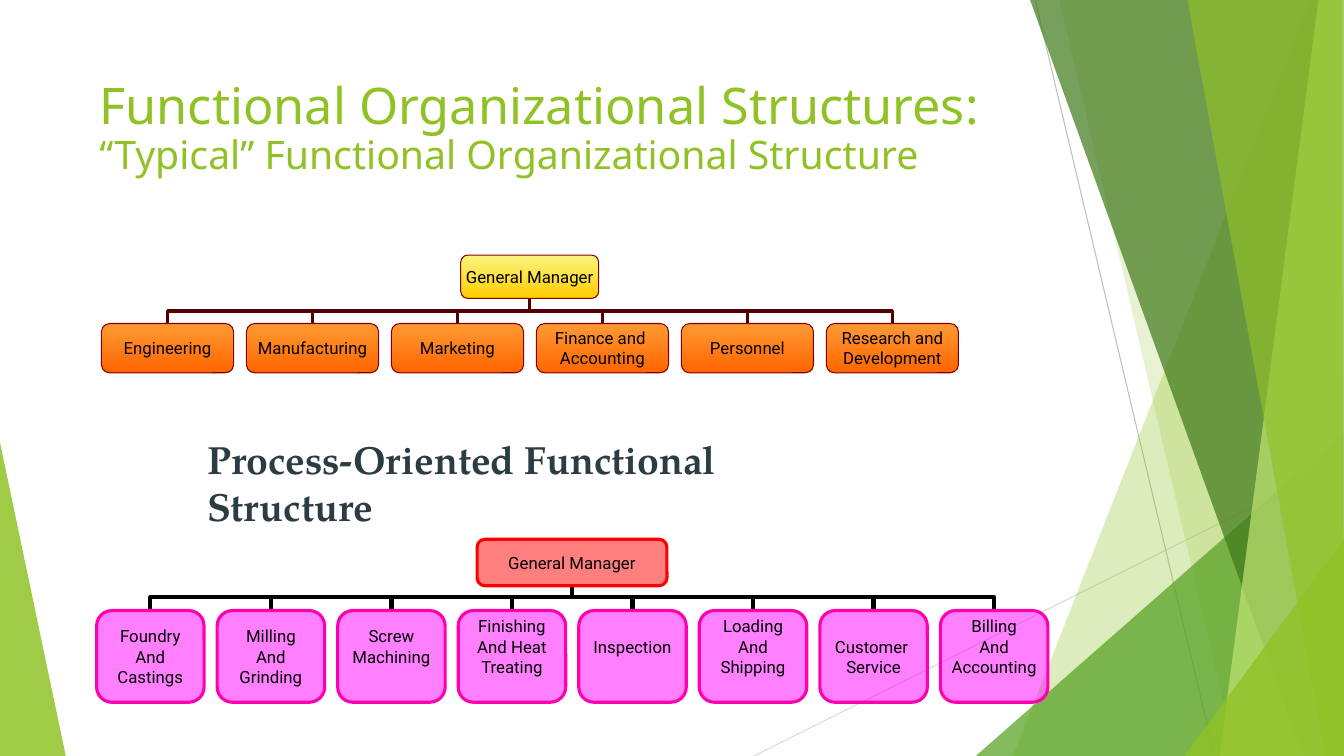
"""Build a slide with two functional organization charts."""
from dataclasses import dataclass

from lxml import etree
from pptx import Presentation
from pptx.dml.color import RGBColor
from pptx.enum.shapes import MSO_CONNECTOR, MSO_SHAPE
from pptx.enum.text import MSO_ANCHOR, PP_ALIGN
from pptx.oxml.ns import qn
from pptx.util import Pt

ELBOW, STRAIGHT = MSO_CONNECTOR.ELBOW, MSO_CONNECTOR.STRAIGHT
ROUNDED = MSO_SHAPE.ROUNDED_RECTANGLE
TOP, MIDDLE = MSO_ANCHOR.TOP, MSO_ANCHOR.MIDDLE
LEFT, CENTER = PP_ALIGN.LEFT, PP_ALIGN.CENTER
GREEN, BLACK, SLATE = "90C226", "000000", "2C3C43"
LINE_HEIGHT = 14.4


@dataclass(frozen=True)
class Facet:
    color: str
    opacity: int
    points: tuple[tuple[float, float], ...]


@dataclass(frozen=True)
class BoxStyle:
    colors: tuple[str, ...]
    outline: str
    outline_width: float
    inset: float
    opacity: int = 100


@dataclass(frozen=True)
class Unit:
    name: str
    blank_lines: int = 0


@dataclass(frozen=True)
class OrgChart:
    manager_box: tuple[float, float, float, float]
    manager_style: BoxStyle
    first_unit_box: tuple[float, float, float, float]
    pitch: float
    unit_style: BoxStyle
    units: tuple[Unit, ...]
    branch_color: str
    branch_width: float
    branch_bottom: float


FACETS = (
    Facet(GREEN, 85, ((0, 316), (47, 540), (0, 540))),
    Facet(GREEN, 30, ((936, 0), (723.6, 540), (960, 540), (960, 0))),
    Facet(GREEN, 20, ((756.7, 0), (882.7, 540), (960, 540), (960, 0))),
    Facet("54A021", 72, ((697, 540), (960, 309), (960, 540))),
    Facet("3F7819", 70, ((735.8, 0), (931, 540), (960, 540), (960, 0))),
    Facet("C0E474", 70, ((941.8, 0), (871.2, 540), (960, 540), (960, 0))),
    Facet(GREEN, 65, ((848.2, 0), (946.8, 540), (960, 540), (958.3, 0))),
    Facet(GREEN, 80, ((846, 540), (960, 385.2), (960, 540))),
)

TYPICAL = OrgChart(
    manager_box=(329.1, 182.2, 98.6, 31),
    manager_style=BoxStyle(("F9F67F", "FFCC00"), "800000", 0.75, 2),
    first_unit_box=(72.5, 231.1, 94.4, 35.2),
    pitch=103.55,
    unit_style=BoxStyle(("FF9933", "FF6600"), "800000", 0.75, 2),
    units=(
        Unit("Engineering"),
        Unit("Manufacturing"),
        Unit("Marketing"),
        Unit("Finance and \nAccounting"),
        Unit("Personnel"),
        Unit("Research and\nDevelopment"),
    ),
    branch_color="540000",
    branch_width=2.25,
    branch_bottom=231.1,
)

PROCESS = OrgChart(
    manager_box=(340.8, 385.2, 135.6, 33.2),
    manager_style=BoxStyle(("FF0000",), "FF0000", 2.25, 1, 50),
    first_unit_box=(69, 436.1, 76.8, 65.5),
    pitch=86.1,
    unit_style=BoxStyle(("FF00FF",), "FF00AD", 2.25, 1, 50),
    units=(
        Unit("Foundry\nAnd\nCastings"),
        Unit("Milling\nAnd\nGrinding"),
        Unit("Screw\nMachining", 1),
        Unit("Finishing\nAnd Heat\nTreating", 1),
        Unit("Inspection", 1),
        Unit("Loading\nAnd\nShipping", 1),
        Unit("Customer \nService"),
        Unit("Billing\nAnd\nAccounting", 1),
    ),
    branch_color=BLACK,
    branch_width=3,
    branch_bottom=434.9,
)


def rgb(color: str) -> RGBColor:
    return RGBColor.from_string(color)


def write(paragraph, text: str, *, size: float, font: str, color: str,
          bold: bool = False, align=LEFT) -> None:
    paragraph.alignment = align
    run = paragraph.add_run()
    run.text = text
    run.font.size = Pt(size)
    run.font.name = font
    run.font.bold = bold
    run.font.color.rgb = rgb(color)


def paint(shape, colors: tuple[str, ...], opacity: int = 100) -> None:
    shape.shadow.inherit = False
    if len(colors) > 1:
        shape.fill.gradient()
        shape.fill.gradient_angle = 270
        for stop, color in zip(shape.fill.gradient_stops, colors):
            stop.color.rgb = rgb(color)
        return
    shape.fill.solid()
    shape.fill.fore_color.rgb = rgb(colors[0])
    if opacity < 100:
        tint = shape._element.spPr.find(qn("a:solidFill")).find(qn("a:srgbClr"))
        etree.SubElement(tint, qn("a:alpha")).set("val", str(opacity * 1000))


def add_facet(slide, facet: Facet) -> None:
    start, *others = [(Pt(x), Pt(y)) for x, y in facet.points]
    builder = slide.shapes.build_freeform(*start)
    builder.add_line_segments(others)
    outline = builder.convert_to_shape()
    paint(outline, (facet.color,), facet.opacity)
    outline.line.fill.background()


def add_line(slide, kind, ends: tuple[float, ...], color: str, width: float):
    line = slide.shapes.add_connector(kind, *map(Pt, ends))
    line.line.color.rgb = rgb(color)
    line.line.width = Pt(width)
    etree.SubElement(line._element.spPr, qn("a:effectLst"))
    return line


def add_branch(slide, chart: OrgChart, unit_x: float) -> None:
    left, top, width, height = chart.manager_box
    manager_x, manager_y = left + width / 2, top + height
    drop, reach = chart.branch_bottom - manager_y, manager_x - unit_x
    middle_x, middle_y = (manager_x + unit_x) / 2, manager_y + drop / 2
    side = drop / 2 if reach > 0 else -drop / 2
    half = abs(reach) / 2
    ends = (middle_x - side, middle_y - half, middle_x + side, middle_y + half)
    branch = add_line(slide, ELBOW, ends, chart.branch_color, chart.branch_width)
    degrees = 270 if reach > 0 else 90
    branch._element.spPr.find(qn("a:xfrm")).set("rot", str(degrees * 60000))


def set_frame(frame, insets: tuple[float, ...], wrap: bool, anchor) -> None:
    frame.margin_left, frame.margin_top, frame.margin_right, frame.margin_bottom = map(Pt, insets)
    frame.word_wrap = wrap
    frame.vertical_anchor = anchor


def add_box(slide, place: tuple[float, ...], style: BoxStyle, unit: Unit) -> None:
    box = slide.shapes.add_shape(ROUNDED, *map(Pt, place))
    paint(box, style.colors, style.opacity)
    box.line.color.rgb = rgb(style.outline)
    box.line.width = Pt(style.outline_width)
    inset = style.inset
    set_frame(box.text_frame, (inset, 1, inset, 1 + unit.blank_lines * LINE_HEIGHT), False, MIDDLE)
    for index, row in enumerate(unit.name.split("\n")):
        paragraph = box.text_frame.add_paragraph() if index else box.text_frame.paragraphs[0]
        write(paragraph, row, size=12, font="Roboto", color=BLACK, align=CENTER)


def add_chart(slide, chart: OrgChart) -> None:
    left, top, width, height = chart.first_unit_box
    lefts = [left + index * chart.pitch for index in range(len(chart.units))]
    for unit_left in reversed(lefts):
        add_branch(slide, chart, unit_left + width / 2)
    add_box(slide, chart.manager_box, chart.manager_style, Unit("General Manager"))
    for unit_left, unit in zip(lefts, chart.units):
        add_box(slide, (unit_left, top, width, height), chart.unit_style, unit)


def add_heading(slide, place: tuple[float, ...], top_inset: float):
    frame = slide.shapes.add_textbox(*map(Pt, place)).text_frame
    set_frame(frame, (7.2, top_inset, 7.2, 3.6), True, TOP)
    return frame.paragraphs[0]


def main() -> None:
    presentation = Presentation()
    presentation.slide_width, presentation.slide_height = Pt(960), Pt(540)
    slide = presentation.slides.add_slide(presentation.slide_layouts[6])
    add_line(slide, STRAIGHT, (538.6, 540, 960, 329.4), "D9D9D9", 0.75)
    add_line(slide, STRAIGHT, (739.4, 0, 867.6, 540), "BFBFBF", 0.75)
    for facet in FACETS:
        add_facet(slide, facet)
    title = add_heading(slide, (64, 48.2, 666.7, 103.7), 9.6)
    title.line_spacing = 0.9
    write(title, "Functional Organizational Structures:", size=36, font="Noto Sans", color=GREEN)
    title.add_line_break()
    write(title, "“Typical” Functional Organizational Structure", size=28, font="Noto Sans", color=GREEN)
    add_chart(slide, TYPICAL)
    subtitle = add_heading(slide, (141.1, 307.4, 477.4, 41), 3.6)
    write(subtitle, "Process-Oriented Functional Structure", size=28,
          font="TeX Gyre Pagella", color=SLATE, bold=True)
    add_chart(slide, PROCESS)
    presentation.save("out.pptx")


if __name__ == "__main__":
    main()
